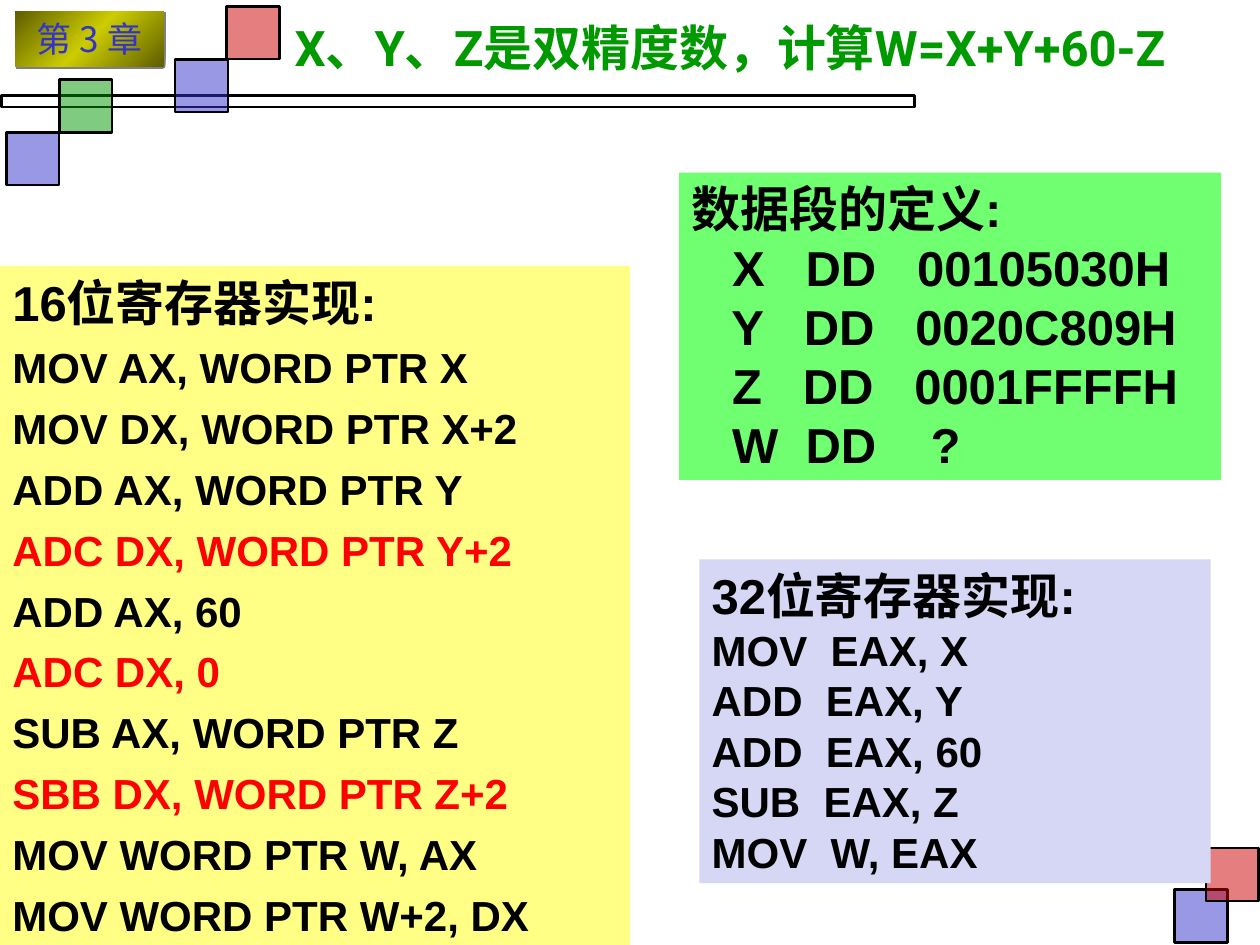
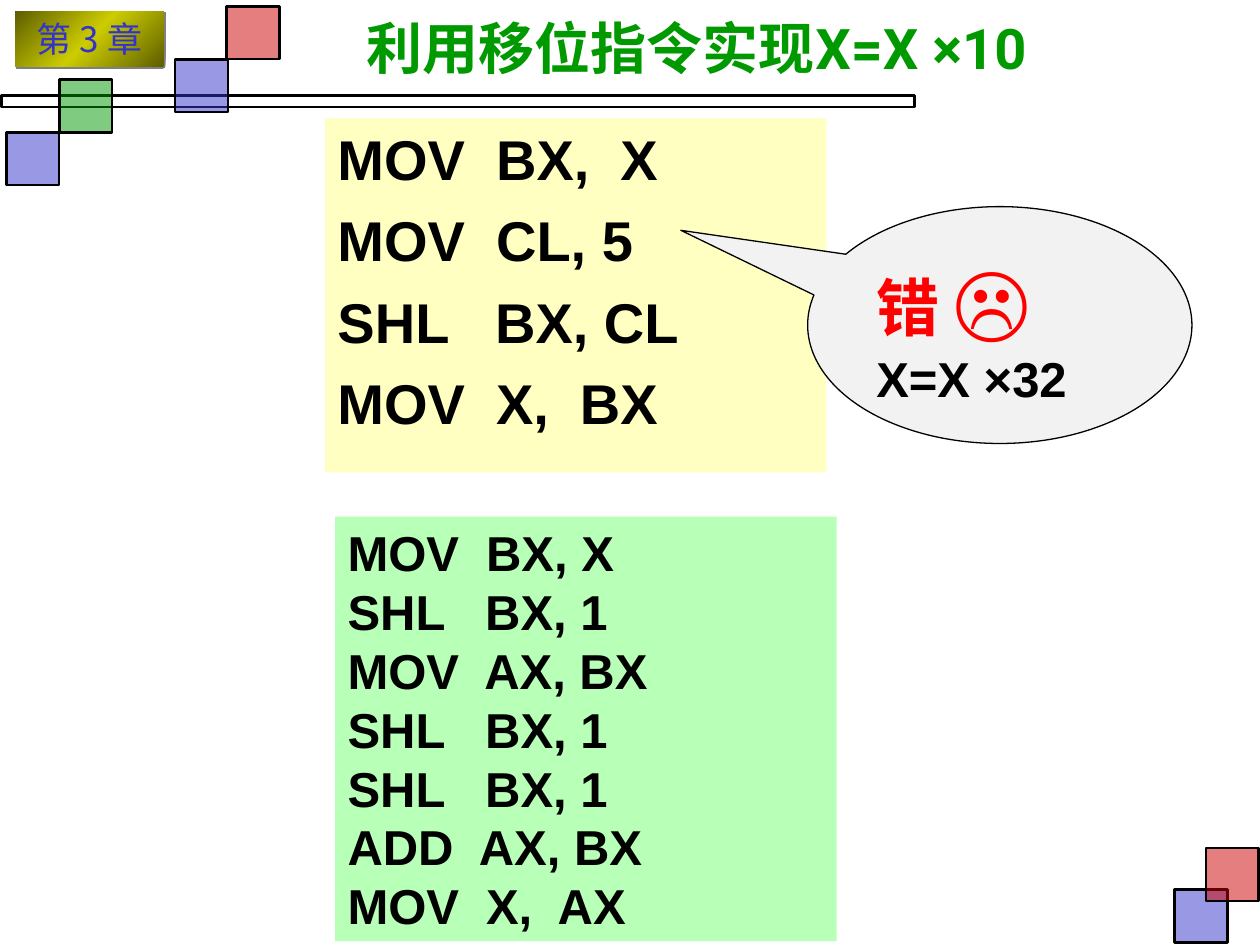
from copy import deepcopy

from lxml.etree import SubElement
from pptx import Presentation
from pptx.dml.color import RGBColor
from pptx.enum.shapes import MSO_SHAPE as Preset
from pptx.enum.text import MSO_ANCHOR as Anchor, PP_ALIGN as Align
from pptx.oxml.ns import qn
from pptx.util import Inches, Pt

BLACK = RGBColor(0x00, 0x00, 0x00)
RED = RGBColor(0xFF, 0x00, 0x00)
CRIMSON = RGBColor(0xCC, 0x00, 0x00)
BLUE = RGBColor(0x33, 0x33, 0xCC)
GREEN = RGBColor(0x00, 0x99, 0x00)
OLIVE = RGBColor(0x5E, 0x5E, 0x00)
GOLD = RGBColor(0xCC, 0xCC, 0x00)
LEMON = RGBColor(0xFF, 0xFF, 0x85)
CREAM = RGBColor(0xFF, 0xFF, 0xC2)
LIME = RGBColor(0x70, 0xFF, 0x70)
MINT = RGBColor(0xB8, 0xFF, 0xB8)
LAVENDER = RGBColor(0xD6, 0xD6, 0xF5)
PALE_GREY = RGBColor(0xF2, 0xF2, 0xF2)

CODE_FONT, TITLE_FONT, CJK_FONT = "Arial", "Roboto", "Noto Sans CJK JP"
TILE = 0.42
TILES = [
    (9.32, 7.06, BLUE), (9.57, 6.73, CRIMSON), (1.39, 0.47, BLUE),
    (0.05, 1.05, BLUE), (0.47, 0.63, GREEN), (1.8, 0.05, CRIMSON),
]


def add_run(paragraph, text, size, color=BLACK, font=CODE_FONT, bold=True):
    """Append one formatted run to the paragraph."""
    run = paragraph.add_run()
    run.text = text
    run.font.size = Pt(size)
    run.font.bold = bold
    run.font.name = font
    run.font.color.rgb = color
    SubElement(run.font._element, qn("a:ea"), typeface=CJK_FONT)


def add_panel(slide, box, fill=None, outline=None, preset=Preset.RECTANGLE):
    """Draw a flat shape whose text starts at the top left."""
    panel = slide.shapes.add_shape(preset, *map(Inches, box))
    panel.shadow.inherit = False
    if fill is None:
        panel.fill.background()
    else:
        panel.fill.solid()
        panel.fill.fore_color.rgb = fill
    if outline is None:
        panel.line.fill.background()
    else:
        panel.line.color.rgb = BLACK
        panel.line.width = Pt(outline)
    frame = panel.text_frame
    frame.word_wrap = True
    frame.vertical_anchor = Anchor.TOP
    frame.paragraphs[0].alignment = Align.LEFT
    return panel


def add_chapter_badge(slide, box):
    """Draw the gradient chapter badge with its hard shadow."""
    badge = add_panel(slide, box)
    badge.fill.gradient()
    badge.fill.gradient_angle = 315
    edge, middle = badge.fill.gradient_stops
    edge.color.rgb, edge.position = OLIVE, 0
    middle.color.rgb, middle.position = GOLD, 0.5
    stops = badge._element.spPr.find(".//" + qn("a:gsLst"))
    far_edge = deepcopy(stops[0])
    far_edge.set("pos", "100000")
    stops.append(far_edge)
    effects = badge._element.spPr.find(qn("a:effectLst"))
    shadow = SubElement(effects, qn("a:outerShdw"), dist=str(Pt(1.4)),
                        dir="2700000", algn="ctr", rotWithShape="0")
    SubElement(shadow, qn("a:srgbClr"), val="808080")
    label = badge.text_frame.paragraphs[0]
    label.alignment = Align.CENTER
    add_run(label, "第 3 章", 20, BLUE, CJK_FONT, bold=False)


def add_frame(slide):
    """Draw the band, tiles and badge shared by all slides."""
    add_panel(slide, (0.01, 0.76, 7.25, 0.09), outline=1.5)
    for left, top, color in TILES:
        tile = add_panel(slide, (left, top, TILE, TILE), color, 1.5)
        tint = tile._element.spPr.find(qn("a:solidFill"))[0]
        SubElement(tint, qn("a:alpha"), val="50000")
    add_chapter_badge(slide, (0.12, 0.09, 1.18, 0.44))


def add_title(slide, text, width, size, align):
    """Write the green slide title."""
    title = slide.shapes.add_textbox(*map(Inches, (2.24, 0.06, width, 0.62)))
    frame = title.text_frame
    frame.word_wrap = True
    frame.vertical_anchor = Anchor.MIDDLE
    heading = frame.paragraphs[0]
    heading.alignment = align
    add_run(heading, text, size, GREEN, TITLE_FONT)


def add_listing(slide, box, fill, code, size, heading=None, gap=0, marked=()):
    """Fill a panel with code lines, the marked ones in red."""
    frame = add_panel(slide, box, fill).text_frame
    lines = [(line, size, RED if line in marked else BLACK) for line in code]
    if heading:
        lines.insert(0, (heading, 28, BLACK))
    for index, line in enumerate(lines):
        paragraph = frame.add_paragraph() if index else frame.paragraphs[0]
        paragraph.alignment = Align.LEFT
        if index and gap:
            paragraph.space_before = Pt(gap)
        add_run(paragraph, *line)


def add_verdict(slide, box):
    """Draw the callout that points at the wrong shift count."""
    callout = add_panel(slide, box, PALE_GREY, 0.75, Preset.OVAL_CALLOUT)
    callout.adjustments[0], callout.adjustments[1] = -0.83, -0.4
    wrong = callout.text_frame.paragraphs[0]
    add_run(wrong, "错 ", 36, RED)
    add_run(wrong, "☹", 48, RED)
    result = callout.text_frame.add_paragraph()
    result.alignment = Align.LEFT
    add_run(result, "X=X ×32", 28)


def build_double_word_slide(slide):
    """Compare 16-bit and 32-bit double-word arithmetic."""
    add_frame(slide)
    add_title(slide, "X、Y、Z是双精度数，计算W=X+Y+60-Z", 7.76, 28, Align.LEFT)
    add_listing(
        slide, (0, 2.11, 5, 5.39), LEMON,
        ["MOV AX, WORD PTR X", "MOV DX, WORD PTR X+2", "ADD AX, WORD PTR Y",
         "ADC DX, WORD PTR Y+2", "ADD AX, 60", "ADC DX, 0",
         "SUB AX, WORD PTR Z", "SBB DX, WORD PTR Z+2",
         "MOV WORD PTR W, AX", "MOV WORD PTR W+2, DX"],
        24, "16位寄存器实现:", gap=6,
        marked=("ADC DX, WORD PTR Y+2", "ADC DX, 0", "SBB DX, WORD PTR Z+2"))
    add_listing(
        slide, (5.55, 4.44, 4.06, 2.57), LAVENDER,
        ["MOV  EAX, X", "ADD  EAX, Y", "ADD  EAX, 60", "SUB  EAX, Z",
         "MOV  W, EAX"],
        24, "32位寄存器实现:")
    add_listing(
        slide, (5.39, 1.37, 4.3, 2.44), LIME,
        ["   X   DD   00105030H", "   Y   DD   0020C809H",
         "   Z   DD   0001FFFFH", "   W  DD    ?"],
        28, "数据段的定义:")


def build_shift_slide(slide):
    """Show a wrong and a right multiplication by shifting."""
    add_frame(slide)
    add_title(slide, "利用移位指令实现X=X ×10", 6.58, 32, Align.CENTER)
    add_listing(
        slide, (2.58, 0.94, 3.98, 2.81), CREAM,
        ["MOV  BX,  X", "MOV  CL, 5", "SHL   BX, CL", "MOV  X,  BX"],
        32, gap=8)
    add_listing(
        slide, (2.66, 4.1, 3.98, 3.37), MINT,
        ["MOV  BX, X", "SHL   BX, 1", "MOV  AX, BX", "SHL   BX, 1",
         "SHL   BX, 1", "ADD  AX, BX", "MOV  X,  AX"],
        28)
    add_verdict(slide, (6.41, 1.64, 3.05, 1.88))


def main():
    """Build and save the presentation."""
    deck = Presentation()
    deck.slide_width, deck.slide_height = Inches(10), Inches(7.5)
    blank = deck.slide_layouts[6]
    for build in (build_double_word_slide, build_shift_slide):
        build(deck.slides.add_slide(blank))
    deck.save("out.pptx")


if __name__ == "__main__":
    main()
